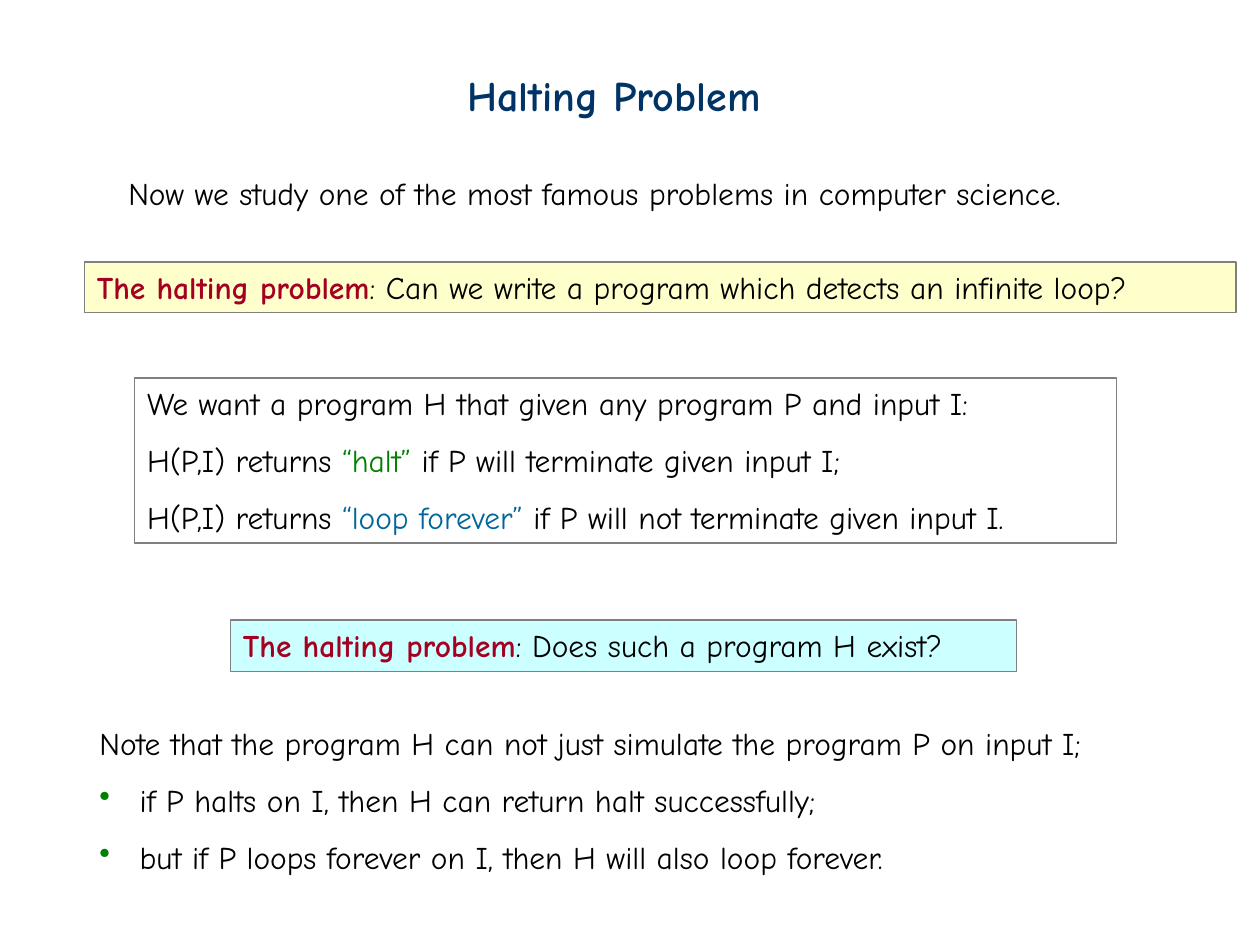
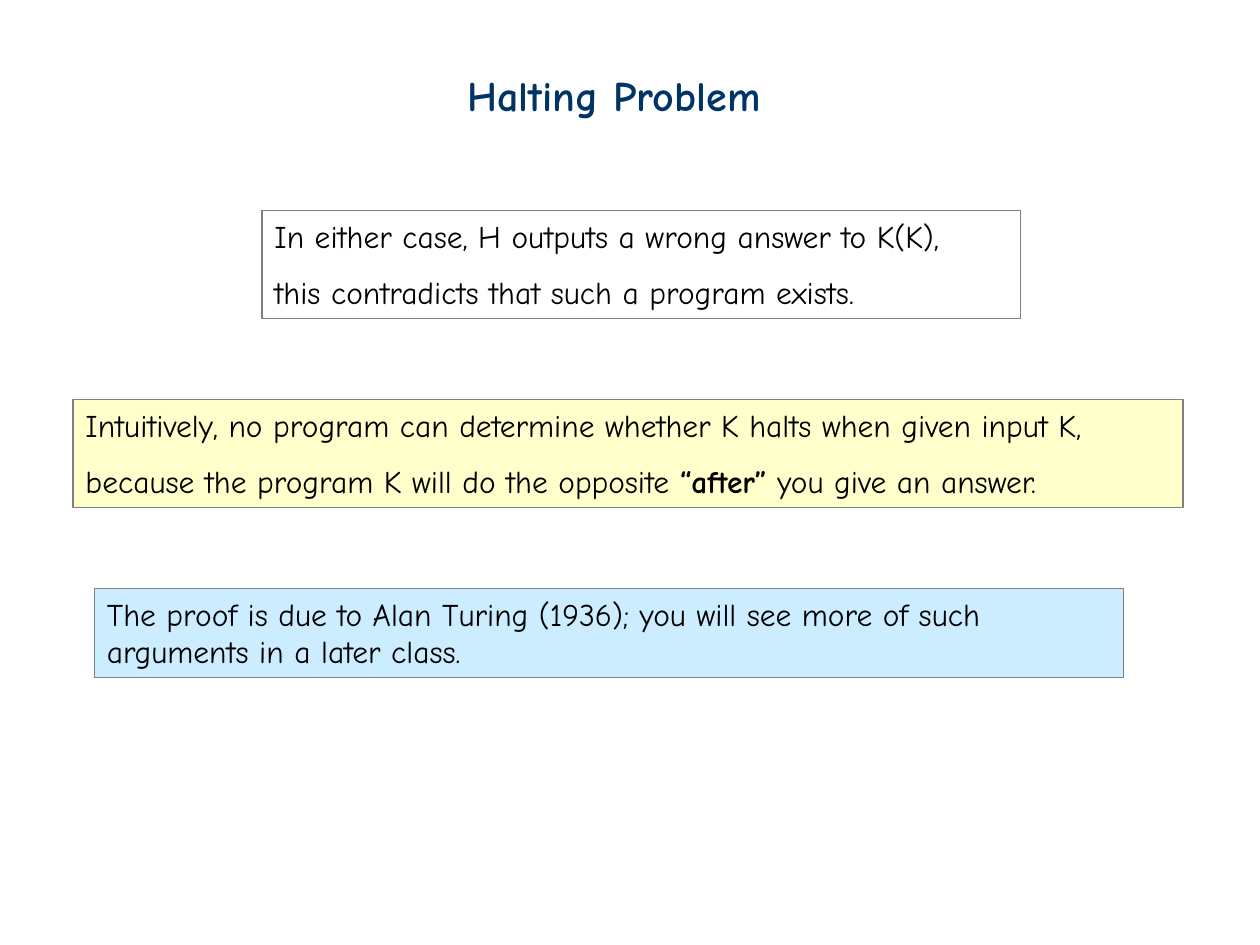
"""Build the two Halting Problem slides."""
from dataclasses import dataclass
from typing import Optional

import pptx
import pptx.dml.color
import pptx.enum.shapes
import pptx.enum.text
import pptx.oxml
import pptx.oxml.ns
import pptx.slide
import pptx.text.text
import pptx.util

Inches = pptx.util.Inches
RGBColor = pptx.dml.color.RGBColor

FONT = "Comic Neue"
BLACK = RGBColor(0x00, 0x00, 0x00)
NAVY = RGBColor(0x00, 0x33, 0x66)
CRIMSON = RGBColor(0xA5, 0x00, 0x21)
GREEN = RGBColor(0x00, 0x80, 0x00)
BLUE = RGBColor(0x00, 0x66, 0x99)
GRAY = RGBColor(0x80, 0x80, 0x80)
YELLOW = RGBColor(0xFF, 0xFF, 0xCC)
CYAN = RGBColor(0xCC, 0xFF, 0xFF)
SKY = RGBColor(0xCC, 0xEC, 0xFF)


@dataclass(frozen=True)
class Span:
    text: str
    color: RGBColor = BLACK
    bold: bool = False


@dataclass(frozen=True)
class Line:
    spans: tuple[Span, ...]
    bulleted: bool = False


@dataclass(frozen=True)
class TextBlock:
    left: float
    top: float
    width: float
    height: float
    lines: tuple[Line, ...]
    framed: bool = True
    fill: Optional[RGBColor] = None
    size: int = 18


def plain(text: str, bulleted: bool = False) -> Line:
    """Return a line in the body style."""
    return Line((Span(text),), bulleted)


def question(text: str) -> Line:
    """Return a line led by the name of the problem."""
    return Line((Span("The halting problem", CRIMSON, True), Span(f": {text}")))


def outcome(answer: str, color: RGBColor, condition: str) -> Line:
    """Return a line telling when H gives an answer."""
    return Line((Span("H(P,I) returns "), Span(answer, color), Span(f" if P {condition}")))


TITLE = TextBlock(3.61, 0.5, 2.73, 0.5, (Line((Span("Halting Problem", NAVY, True),)),),
                  framed=False, size=24)

SLIDES = (
    (
        TextBlock(0.92, 1.33, 8.2, 0.4, (
            plain("Now we study one of the most famous problems in computer science."),
        ), framed=False),
        TextBlock(0.67, 2.08, 9.14, 0.4, (
            question("Can we write a program which detects an infinite loop?"),
        ), fill=YELLOW),
        TextBlock(1.07, 3, 7.79, 1.31, (
            plain("We want a program H that given any program P and input I:"),
            outcome("“halt”", GREEN, "will terminate given input I;"),
            outcome("“loop forever”", BLUE, "will not terminate given input I."),
        )),
        TextBlock(1.83, 4.92, 6.24, 0.41, (question("Does such a program H exist?"),), fill=CYAN),
        TextBlock(0.69, 5.7, 8.64, 1.3, (
            plain("Note that the program H can not just simulate the program P on input I;"),
            plain("if P halts on I, then H can return halt successfully;", True),
            plain("but if P loops forever on I, then H will also loop forever.", True),
        ), framed=False),
    ),
    (
        TextBlock(2.08, 1.67, 6.02, 0.86, (
            plain("In either case, H outputs a wrong answer to K(K),"),
            plain("this contradicts that such a program exists."),
        )),
        TextBlock(0.75, 4.67, 8.17, 0.71, (
            plain("The proof is due to Alan Turing (1936); you will see more of such "
                  "arguments in a later class."),
        ), fill=SKY),
        TextBlock(0.58, 3.17, 8.81, 0.86, (
            plain("Intuitively, no program can determine whether K halts when given input K,"),
            Line((Span("because the program K will do the opposite "),
                  Span("“after”", bold=True), Span(" you give an answer."))),
        ), fill=YELLOW),
    ),
)


def add_bullet(paragraph: pptx.text.text._Paragraph) -> None:
    """Give a paragraph a green bullet and a hanging indent."""
    properties = paragraph._p.get_or_add_pPr()
    indent = Inches(0.32)
    properties.set("marL", str(indent))
    properties.set("indent", str(-indent))
    namespace = pptx.oxml.ns.nsdecls("a")
    for markup in (f'<a:buClr {namespace}><a:srgbClr val="{GREEN}"/></a:buClr>',
                   f'<a:buChar {namespace} char="•"/>'):
        properties.append(pptx.oxml.parse_xml(markup))


def write_line(paragraph: pptx.text.text._Paragraph, line: Line, size: int) -> None:
    """Write the spans of a line into a paragraph."""
    paragraph.alignment = pptx.enum.text.PP_ALIGN.LEFT
    for span in line.spans:
        run = paragraph.add_run()
        run.text = span.text
        run.font.name = FONT
        run.font.size = pptx.util.Pt(size)
        run.font.bold = span.bold
        run.font.color.rgb = span.color
    if line.bulleted:
        add_bullet(paragraph)


def draw_block(slide: pptx.slide.Slide, block: TextBlock) -> None:
    """Draw a text block, framed or free."""
    bounds = [Inches(length) for length in (block.left, block.top, block.width, block.height)]
    if block.framed:
        shape = slide.shapes.add_shape(pptx.enum.shapes.MSO_SHAPE.RECTANGLE, *bounds)
        shape.shadow.inherit = False
        shape.line.color.rgb = GRAY
        shape.line.width = pptx.util.Pt(0.75)
        if block.fill is None:
            shape.fill.background()
        else:
            shape.fill.solid()
            shape.fill.fore_color.rgb = block.fill
    else:
        shape = slide.shapes.add_textbox(*bounds)
    text_frame = shape.text_frame
    text_frame.word_wrap = True
    text_frame.vertical_anchor = pptx.enum.text.MSO_ANCHOR.TOP
    for index, line in enumerate(block.lines):
        paragraph = text_frame.add_paragraph() if index else text_frame.paragraphs[0]
        write_line(paragraph, line, block.size)
        if index:
            paragraph.line_spacing = 1.5


def main() -> None:
    """Build and save the presentation."""
    presentation = pptx.Presentation()
    presentation.slide_width = Inches(10)
    presentation.slide_height = Inches(7.5)
    for blocks in SLIDES:
        slide = presentation.slides.add_slide(presentation.slide_layouts[6])
        for block in (TITLE, *blocks):
            draw_block(slide, block)
    presentation.save("out.pptx")


if __name__ == "__main__":
    main()
